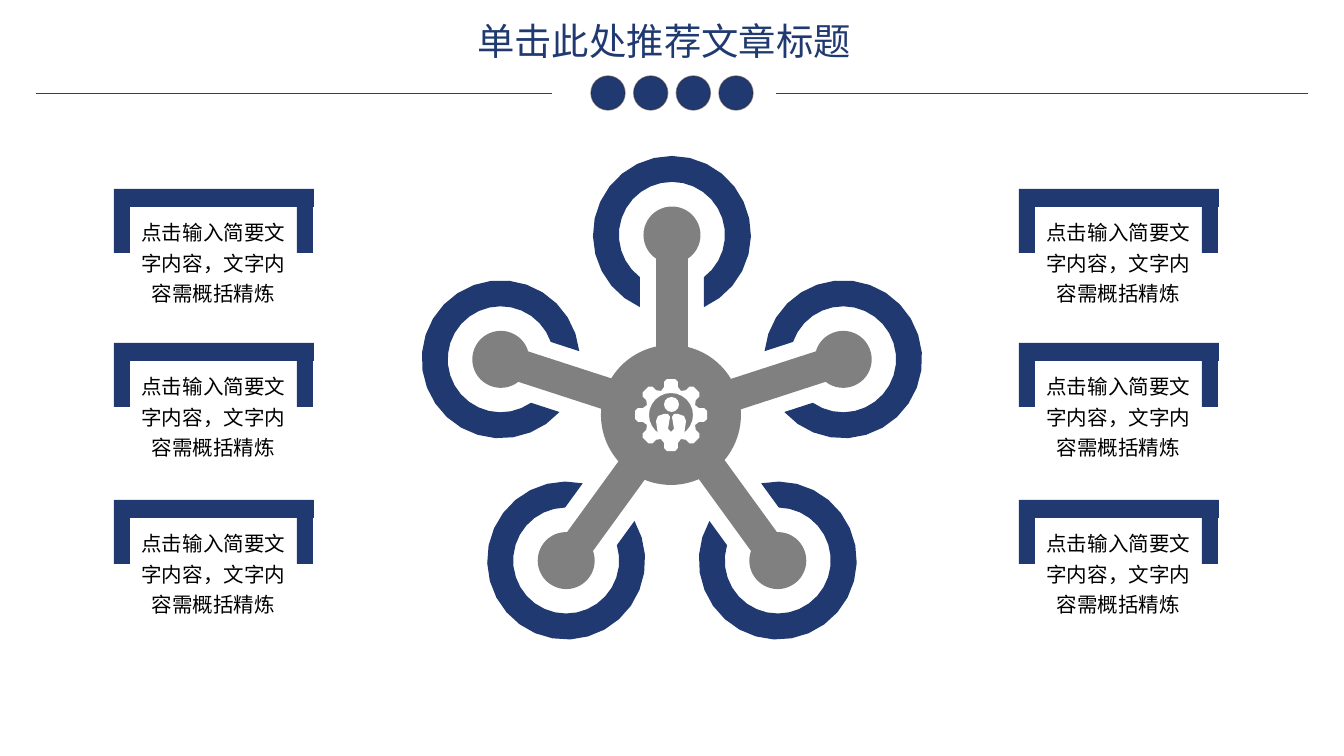
"""Build a slide with a five-armed hub diagram between two columns of captions."""
from math import asin, cos, pi, sin

from lxml import etree
from pptx import Presentation
from pptx.dml.color import RGBColor
from pptx.enum.shapes import MSO_CONNECTOR, MSO_SHAPE
from pptx.enum.text import MSO_AUTO_SIZE, PP_ALIGN
from pptx.oxml.ns import qn
from pptx.util import Pt

PX = 9144000 / 1344
OVAL, RECT = MSO_SHAPE.OVAL, MSO_SHAPE.RECTANGLE
STRAIGHT = MSO_CONNECTOR.STRAIGHT
GROW = MSO_AUTO_SIZE.SHAPE_TO_FIT_TEXT
LEFT, CENTER = PP_ALIGN.LEFT, PP_ALIGN.CENTER

THEME = {
    "navy": RGBColor.from_string("203A71"),
    "gray": RGBColor.from_string("808080"),
    "white": RGBColor.from_string("FFFFFF"),
    "black": RGBColor.from_string("000000"),
    "rule": RGBColor.from_string("404040"),
    "rim": RGBColor.from_string("2F2637"),
    "title": {"size": Pt(20), "name": "Noto Sans CJK SC"},
    "caption": {"size": Pt(11), "name": "Noto Sans CJK JP"},
}

STAR_X, HUB_X, HUB_Y, HUB_RADIUS = 672, 671, 415, 70
REACH, RING_OUTER, RING_INNER = 180, 79, 53
RING_GAP, ARM_HALF, KNOB = 32, 16, 57
ARC_STEPS = 24

deck = Presentation()
deck.slide_width, deck.slide_height = round(1344 * PX), round(756 * PX)
page = deck.slides.add_slide(deck.slide_layouts[6])


def turn(points, angle, center_x):
    """Rotate points clockwise and place them around the hub."""
    return [(center_x + x * cos(angle) - y * sin(angle),
             HUB_Y + x * sin(angle) + y * cos(angle)) for x, y in points]


def draw(color, *contours, preset=None, frame=()):
    """Add a filled outline, or a preset shape in a px frame."""
    if contours:
        paths = [[(round(x * PX), round(y * PX)) for x, y in contour] for contour in contours]
        builder = page.shapes.build_freeform(*paths[0][0], scale=1.0)
        builder.add_line_segments(paths[0][1:], close=True)
        for path in paths[1:]:
            builder.move_to(*path[0])
            builder.add_line_segments(path[1:], close=True)
        shape = builder.convert_to_shape()
    else:
        shape = page.shapes.add_shape(preset, *(round(value * PX) for value in frame))
    shape.shadow.inherit = False
    shape.fill.solid()
    shape.fill.fore_color.rgb = THEME[color]
    shape.line.fill.background()
    return shape


for start, end in [(776, 1308), (36, 552)]:
    rule = page.shapes.add_connector(
        STRAIGHT, *(round(value * PX) for value in (start, 94, end, 94)))
    rule.line.color.rgb = THEME["rule"]
    rule.line.width = Pt(0.5)
    etree.SubElement(rule._element.spPr, qn("a:effectLst"))

for index in range(4):
    dot = draw("navy", preset=OVAL, frame=(591 + index * 128 / 3, 76, 34, 34))
    dot.line.color.rgb = THEME["rim"]
    dot.line.width = Pt(0.75)
    rim = dot.line._ln.find(".//" + qn("a:srgbClr"))
    etree.SubElement(rim, qn("a:alpha"), val="50000")

ring = []
for radius, direction in [(RING_OUTER, 1), (RING_INNER, -1)]:
    opening = asin(RING_GAP / radius)
    sweep = [opening + (2 * pi - 2 * opening) * step / ARC_STEPS for step in range(ARC_STEPS + 1)]
    ring += [(radius * sin(a), radius * cos(a) - REACH) for a in sweep[::direction]]
arm = [(-ARM_HALF, -REACH), (ARM_HALF, -REACH), (ARM_HALF, 0), (-ARM_HALF, 0)]

for spoke in range(5):
    angle = spoke * 2 * pi / 5
    draw("navy", turn(ring, angle, STAR_X))
    draw("gray", turn(arm, angle, STAR_X))
    [(knob_x, knob_y)] = turn([(0, -REACH)], angle, STAR_X)
    draw("gray", preset=OVAL, frame=(knob_x - KNOB / 2, knob_y - KNOB / 2, KNOB, KNOB))

draw("gray", preset=OVAL,
     frame=(HUB_X - HUB_RADIUS, HUB_Y - HUB_RADIUS, 2 * HUB_RADIUS, 2 * HUB_RADIUS))

tooth = [(-7, -28), (-7, -33), (-4, -36), (4, -36), (7, -33), (7, -28), (10, -24)]
gear = [point for index in range(8) for point in turn(tooth, index * pi / 4, HUB_X)]
hole = [turn([(0, -22)], -2 * pi * step / ARC_STEPS, HUB_X)[0] for step in range(ARC_STEPS)]
half_body = [(0, 25), (7, 24), (13, 20), (15, 6), (13, 1), (7, -1), (3, -1), (1, 2), (3, 14), (0, 17)]
body = half_body + [(-x, y) for x, y in half_body[-2:0:-1]]
draw("white", gear, hole)
draw("white", turn(body, 0, HUB_X))
draw("white", preset=OVAL, frame=(HUB_X - 7, HUB_Y - 18, 15, 15))

texts = [("单击此处推荐文章标题", (464, 12, 405, 59), "title", "navy",
          {"word_wrap": False, "auto_size": GROW}, {"alignment": LEFT})]
for left in (114, 1019):
    for top in (189, 343, 500):
        for x, y, width, height in [(0, 0, 200, 18), (0, 18, 16, 46), (183, 18, 16, 46)]:
            draw("navy", preset=RECT, frame=(left + x, top + y, width, height))
        texts.append(("点击输入简要文字内容，文字内容需概括精炼",
                      (left + 8, top + 18, 183, 108), "caption", "black",
                      {"word_wrap": True, "auto_size": GROW},
                      {"alignment": CENTER, "line_spacing": 1.25}))

for words, frame, style, color, frame_format, para_format in texts:
    box = page.shapes.add_textbox(*(round(value * PX) for value in frame))
    para = box.text_frame.paragraphs[0]
    span = para.add_run()
    span.text = words
    span.font.color.rgb = THEME[color]
    for target, values in [(box.text_frame, frame_format), (para, para_format),
                           (span.font, THEME[style])]:
        for name, value in values.items():
            setattr(target, name, value)
    etree.SubElement(span._r.rPr, qn("a:ea"), typeface=THEME[style]["name"])

deck.save("out.pptx")
